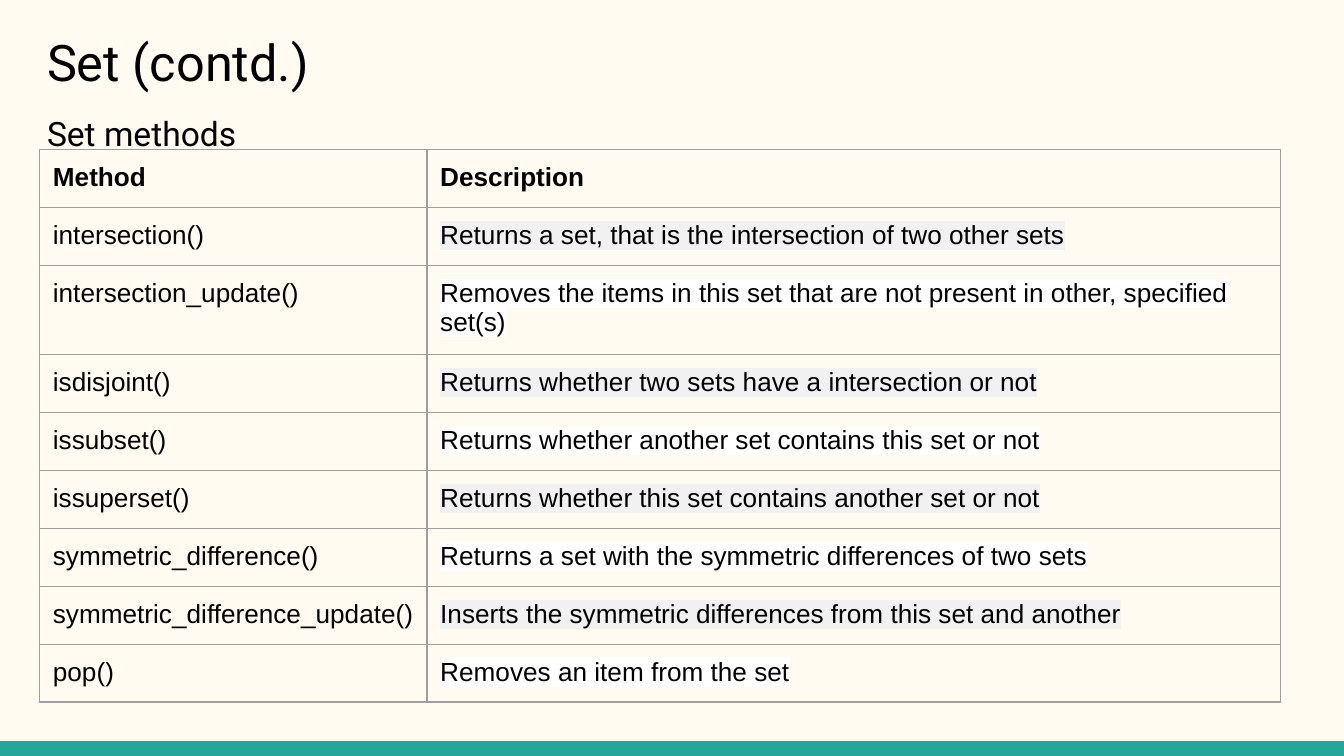
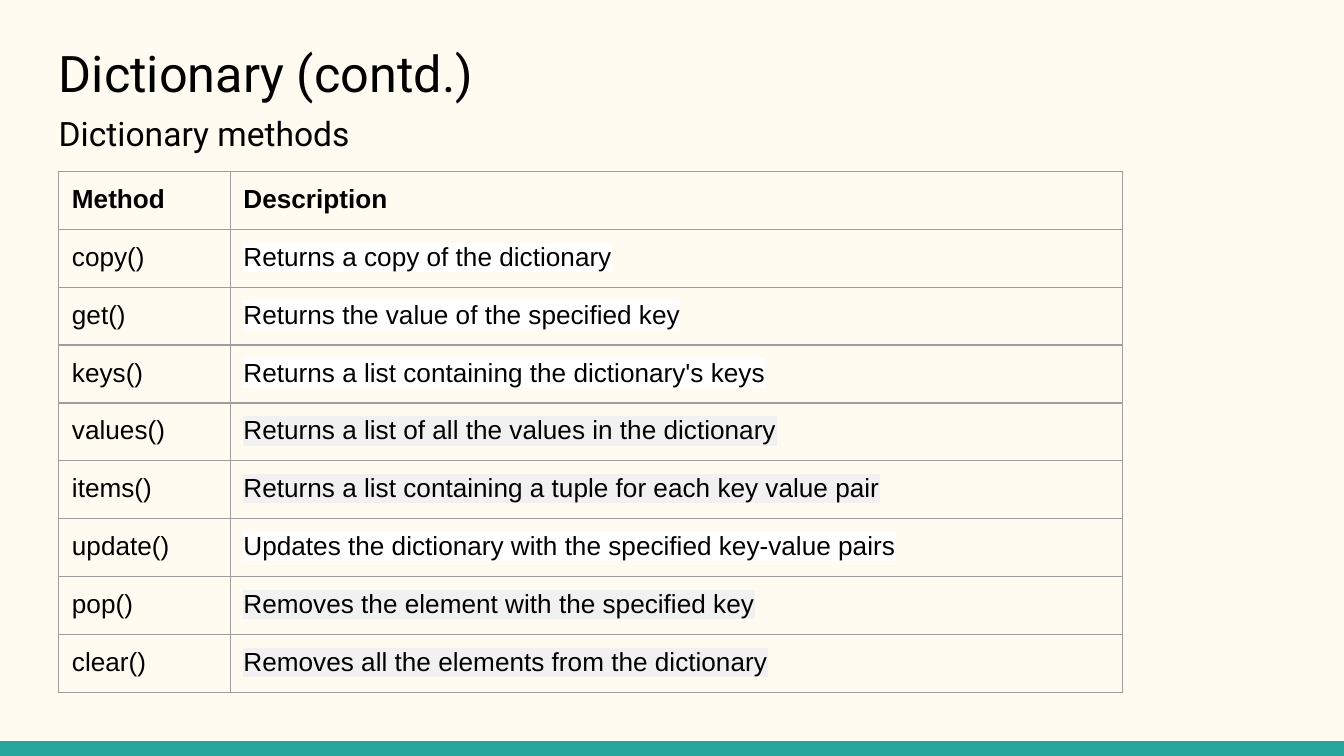
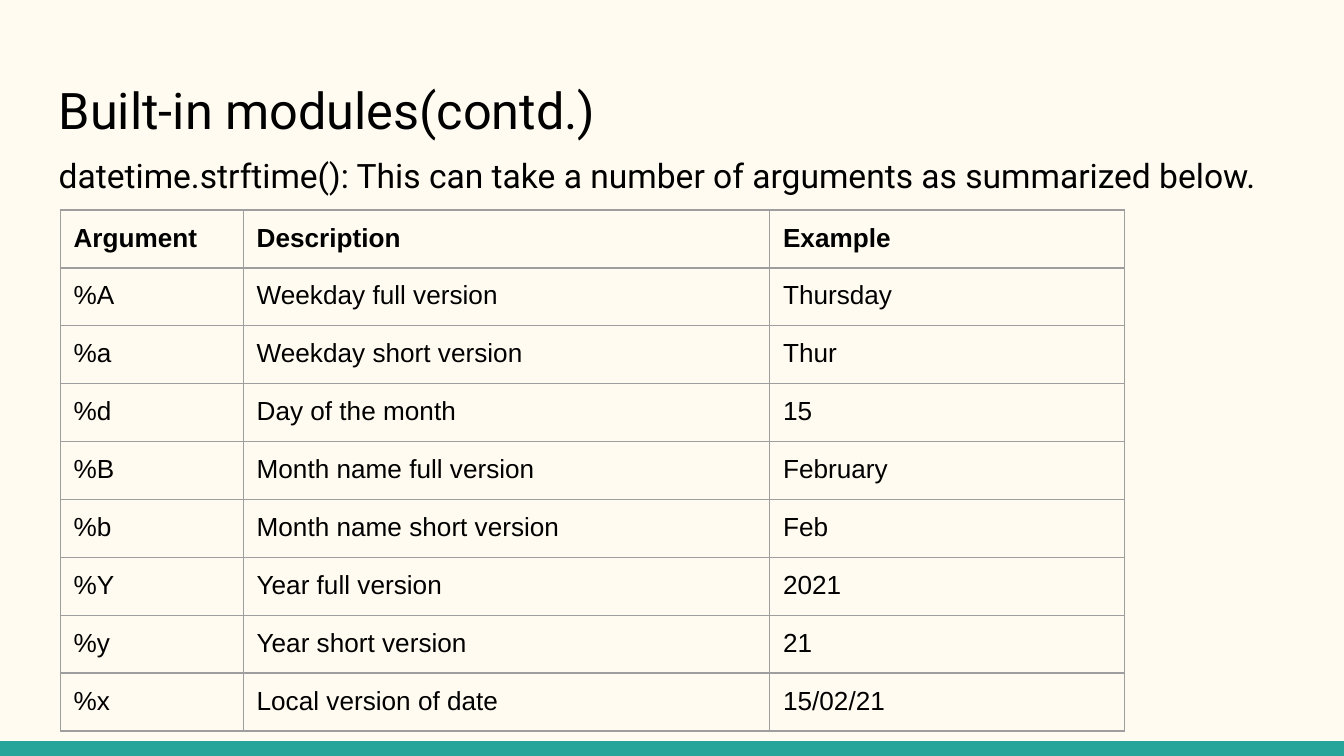
from lxml import etree
from pptx import Presentation
from pptx import util as u
from pptx.dml import color
from pptx.enum import shapes, text
from pptx.oxml import ns

CREAM, TEAL, GRID, INK = "FFFBF0", "26A69A", "9E9E9E", "000000"
GREY, WHITE = "F1F1F1", "FFFFFF"
PAGE_WIDTH, PAGE_HEIGHT = 25.4, 14.29
BAND_HEIGHT = 0.28
INSET = u.Cm(0.25)
ROW_HEIGHT = 1.06
MARGINS = {f"margin_{side}": INSET for side in ("left", "top", "right", "bottom")}
FRAME = {**MARGINS, "word_wrap": True, "vertical_anchor": text.MSO_ANCHOR.TOP}
TITLE = {"size": u.Pt(27), "name": "Roboto", "bold": False}
SUBTITLE = {"size": u.Pt(18), "name": "Roboto", "bold": False}
CELL = {"size": u.Pt(14), "name": "Arial", "bold": False}
HEADER = {**CELL, "bold": True}
SUBTITLE_SPACING = {"line_spacing": 1.15, "space_after": u.Pt(12)}

SET_METHODS = [
    ("Method", "Description"),
    ("intersection()", "Returns a set, that is the intersection of two other sets"),
    ("intersection_update()",
     "Removes the items in this set that are not present in other, specified set(s)"),
    ("isdisjoint()", "Returns whether two sets have a intersection or not"),
    ("issubset()", "Returns whether another set contains this set or not"),
    ("issuperset()", "Returns whether this set contains another set or not"),
    ("symmetric_difference()", "Returns a set with the symmetric differences of two sets"),
    ("symmetric_difference_update()",
     "Inserts the symmetric differences from this set and another"),
    ("pop()", "Removes an item from the set"),
]
DICTIONARY_METHODS = [
    ("Method", "Description"),
    ("copy()", "Returns a copy of the dictionary"),
    ("get()", "Returns the value of the specified key"),
    ("keys()", "Returns a list containing the dictionary's keys"),
    ("values()", "Returns a list of all the values in the dictionary"),
    ("items()", "Returns a list containing a tuple for each key value pair"),
    ("update()", "Updates the dictionary with the specified key-value pairs"),
    ("pop()", "Removes the element with the specified key"),
    ("clear()", "Removes all the elements from the dictionary"),
]
DATE_ARGUMENTS = [
    ("Argument", "Description", "Example"),
    ("%A", "Weekday full version", "Thursday"),
    ("%a", "Weekday short version", "Thur"),
    ("%d", "Day of the month", "15"),
    ("%B", "Month name full version", "February"),
    ("%b", "Month name short version", "Feb"),
    ("%Y", "Year full version", "2021"),
    ("%y", "Year short version", "21"),
    ("%x", "Local version of date", "15/02/21"),
]
PAGES = [
    {"title": "Set (contd.)", "title_box": (0.64, 0.33, 23.67, 1.7),
     "subtitle": "Set methods", "subtitle_box": (0.64, 1.78, 23.67, 9.5),
     "rows": SET_METHODS, "corner": (0.75, 2.83), "widths": (7.32, 16.13),
     "highlights": [GREY, WHITE] * 4},
    {"title": "Dictionary (contd.)", "title_box": (0.86, 0.54, 23.67, 1.6),
     "subtitle": "Dictionary methods", "subtitle_box": (0.86, 1.78, 23.67, 9.5),
     "rows": DICTIONARY_METHODS, "corner": (1.11, 3.24), "widths": (3.24, 16.87),
     "highlights": [WHITE] * 3 + [GREY] * 2 + [WHITE] + [GREY] * 2},
    {"title": "Built-in modules(contd.)", "title_box": (0.86, 1.25, 23.67, 1.7),
     "subtitle": "datetime.strftime(): This can take a number of arguments as summarized below.",
     "subtitle_box": (0.86, 2.57, 23.67, 9.45),
     "rows": DATE_ARGUMENTS, "corner": (1.14, 3.97), "widths": (3.46, 9.95, 6.7),
     "highlights": [None] * 8},
]


def rgb(value):
    """Turn a hex string into a colour."""
    return color.RGBColor.from_string(value)


def assign(target, values):
    """Set every attribute in a dict of format values."""
    for name, value in values.items():
        setattr(target, name, value)


def add_colour(parent, tag, value):
    """Append a colour-holding element under a parent and return it."""
    holder = etree.SubElement(parent, ns.qn(tag))
    etree.SubElement(holder, ns.qn("a:srgbClr"), val=value)
    return holder


def write(para, words, style, highlight=None):
    """Write one styled span, with a highlight if one is given."""
    span = para.add_run()
    span.text = words
    assign(span.font, style)
    span.font.color.rgb = rgb(INK)
    if highlight:
        properties = span.font._element
        mark = add_colour(properties, "a:highlight", highlight)
        properties.find(ns.qn("a:solidFill")).addnext(mark)


def add_heading(page, area, words, style, spacing=None):
    """Place a line of heading text in an area."""
    box = page.shapes.add_textbox(*map(u.Cm, area))
    assign(box.text_frame, FRAME)
    para = box.text_frame.paragraphs[0]
    assign(para, spacing or {})
    write(para, words, style)


def add_band(page, area):
    """Place the coloured footer band."""
    band = page.shapes.add_shape(shapes.MSO_SHAPE.RECTANGLE, *map(u.Cm, area))
    band.shadow.inherit = False
    band.fill.solid()
    band.fill.fore_color.rgb = rgb(TEAL)
    band.line.fill.background()


def format_cell(cell):
    """Give a cell its margins, grid lines and clear fill."""
    assign(cell, MARGINS)
    properties = cell._tc.get_or_add_tcPr()
    for tag in ("a:lnL", "a:lnR", "a:lnT", "a:lnB"):
        edge = etree.SubElement(properties, ns.qn(tag), w=str(u.Pt(0.75)))
        add_colour(edge, "a:solidFill", GRID)
    cell.fill.background()


def add_grid(page, corner, widths, rows, highlights):
    """Place a table with a bold header and highlighted second column."""
    area = (*corner, sum(widths), ROW_HEIGHT * len(rows))
    table = page.shapes.add_table(len(rows), len(widths), *map(u.Cm, area)).table
    assign(table, {"first_row": False, "horz_banding": False})
    for column, width in zip(table.columns, widths):
        column.width = u.Cm(width)
    for r, (row, highlight) in enumerate(zip(rows, [None, *highlights])):
        table.rows[r].height = u.Cm(ROW_HEIGHT)
        for c, words in enumerate(row):
            cell = table.cell(r, c)
            format_cell(cell)
            write(cell.text_frame.paragraphs[0], words, CELL if r else HEADER,
                  highlight if c == 1 else None)


def add_page(deck, content):
    """Build one page of band, headings and table."""
    page = deck.slides.add_slide(deck.slide_layouts[6])
    add_band(page, (0, PAGE_HEIGHT - BAND_HEIGHT, PAGE_WIDTH, BAND_HEIGHT))
    add_heading(page, content["title_box"], content["title"], TITLE)
    add_heading(page, content["subtitle_box"], content["subtitle"], SUBTITLE, SUBTITLE_SPACING)
    add_grid(page, content["corner"], content["widths"], content["rows"], content["highlights"])


def main():
    """Build and save the deck."""
    deck = Presentation()
    assign(deck, {"slide_width": u.Cm(PAGE_WIDTH), "slide_height": u.Cm(PAGE_HEIGHT)})
    backdrop = deck.slide_master.background.fill
    backdrop.solid()
    backdrop.fore_color.rgb = rgb(CREAM)
    for content in PAGES:
        add_page(deck, content)
    deck.save("out.pptx")


if __name__ == "__main__":
    main()
